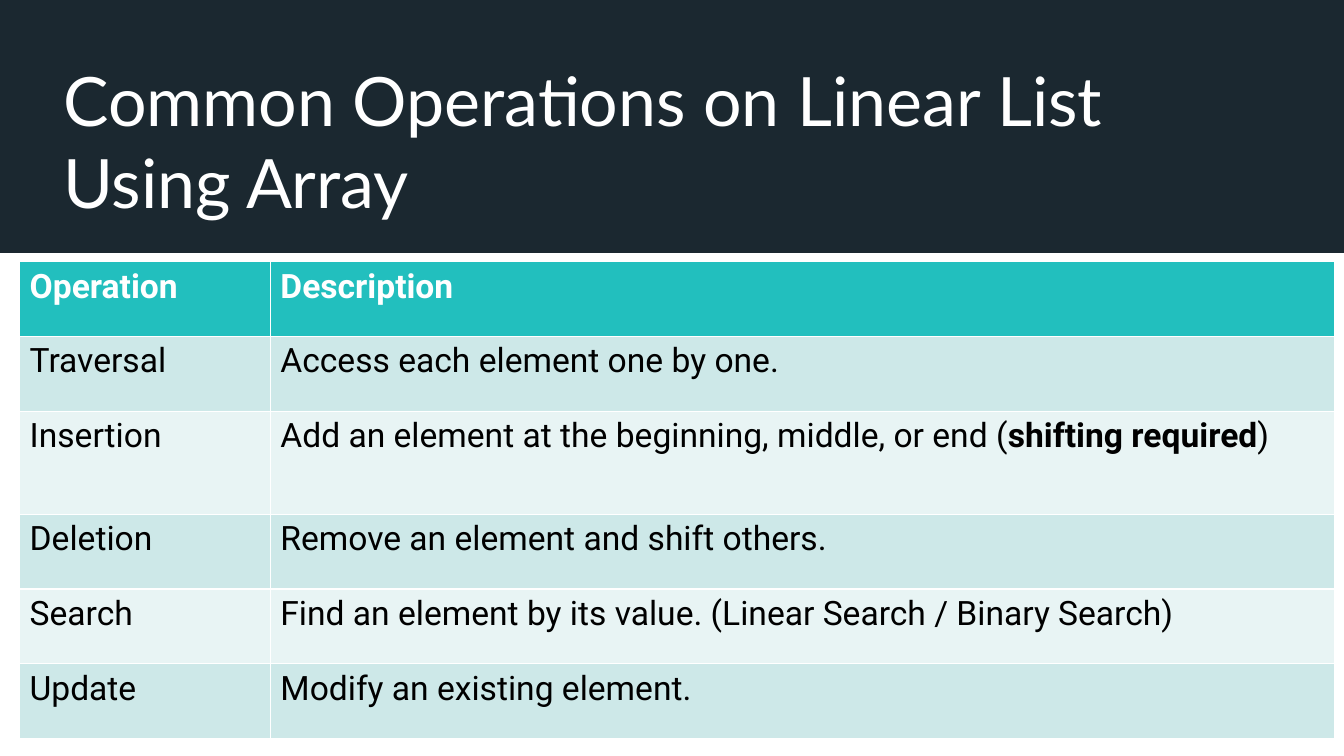
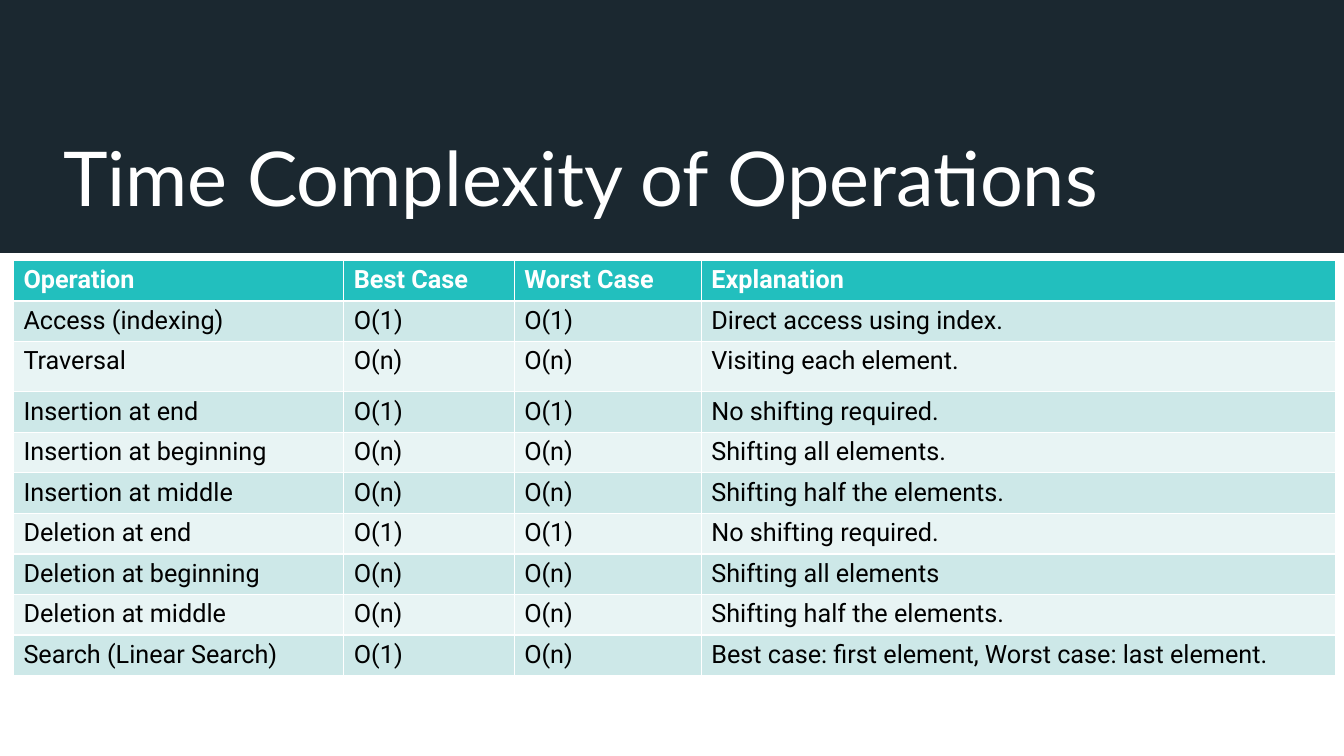
from pptx import Presentation
from pptx.dml.color import RGBColor
from pptx.enum.shapes import MSO_SHAPE
from pptx.enum.text import MSO_ANCHOR, MSO_AUTO_SIZE, PP_ALIGN
from pptx.util import Pt

COLORS = {
    "band": "1B2830",
    "header": "22BFBE",
    "odd": "CDE8E8",
    "even": "E8F4F4",
    "light": "FFFFFF",
    "dark": "000000",
}
TITLE_FONT, TABLE_FONT = "Lato", "Roboto"
SLIDE_WIDTH, SLIDE_HEIGHT, BAND_HEIGHT = 960, 540, 180.6

SLIDES = [
    {
        "title": "Common Operations on Linear List Using Array",
        "title_size": 48.6,
        "origin": (14, 187),
        "columns": [179.1, 760.4],
        "row_height": 53.4,
        "tall_row": (2, 73.6),
        "text_size": 24,
        "rows": [
            ("Operation", "Description"),
            ("Traversal", "Access each element one by one."),
            ("Insertion", ("Add an element at the beginning, middle, or end (", "shifting required", ")")),
            ("Deletion", "Remove an element and shift others."),
            ("Search", "Find an element by its value. (Linear Search / Binary Search)"),
            ("Update", "Modify an existing element."),
        ],
    },
    {
        "title": "Time Complexity of Operations",
        "title_size": 54,
        "origin": (9.6, 186),
        "columns": [236, 121.7, 133.7, 452.7],
        "row_height": 28.95,
        "tall_row": (2, 36),
        "text_size": 18,
        "rows": [
            ("Operation", "Best Case", "Worst Case", "Explanation"),
            ("Access (indexing)", "O(1)", "O(1)", "Direct access using index."),
            ("Traversal", "O(n)", "O(n)", "Visiting each element."),
            ("Insertion at end", "O(1)", "O(1)", "No shifting required."),
            ("Insertion at beginning", "O(n)", "O(n)", "Shifting all elements."),
            ("Insertion at middle", "O(n)", "O(n)", "Shifting half the elements."),
            ("Deletion at end", "O(1)", "O(1)", "No shifting required."),
            ("Deletion at beginning", "O(n)", "O(n)", "Shifting all elements"),
            ("Deletion at middle", "O(n)", "O(n)", "Shifting half the elements."),
            ("Search (Linear Search)", "O(1)", "O(n)", "Best case: first element, Worst case: last element."),
        ],
    },
]


def color(name):
    return RGBColor.from_string(COLORS[name])


def style_font(font, name, size, tone, bold=False):
    font.name, font.size, font.bold = name, Pt(size), bold
    font.color.rgb = color(tone)


def style_layout(layout):
    title = layout.placeholders[0]
    title.left, title.top, title.width, title.height = Pt(38), Pt(28.8), Pt(856), Pt(133.2)
    title.text_frame.vertical_anchor = MSO_ANCHOR.BOTTOM
    title.text_frame.auto_size = MSO_AUTO_SIZE.NONE


def add_band(page):
    band = page.shapes.add_shape(MSO_SHAPE.RECTANGLE, 0, 0, Pt(SLIDE_WIDTH), Pt(BAND_HEIGHT))
    band.shadow.inherit = False
    band.fill.solid()
    band.fill.fore_color.rgb = color("band")
    band.line.fill.background()
    page.shapes.title.element.addprevious(band.element)


def add_title(page, text, size):
    para = page.shapes.title.text_frame.paragraphs[0]
    para.text = text
    para.alignment = PP_ALIGN.LEFT
    style_font(para.runs[0].font, TITLE_FONT, size, "light")


def fill_cell(cell, content, row_index, size):
    header = row_index == 0
    cell.fill.solid()
    cell.fill.fore_color.rgb = color("header" if header else "odd" if row_index % 2 else "even")
    parts = (content,) if isinstance(content, str) else content
    para = cell.text_frame.paragraphs[0]
    for index, part in enumerate(parts):
        span = para.add_run()
        span.text = part
        style_font(span.font, TABLE_FONT, size, "light" if header else "dark", header or index % 2 == 1)


def add_grid(page, content):
    rows, columns = content["rows"], content["columns"]
    heights = [content["row_height"]] * len(rows)
    tall_index, tall_height = content["tall_row"]
    heights[tall_index] = tall_height
    left, top = content["origin"]
    table = page.shapes.add_table(
        len(rows), len(columns), Pt(left), Pt(top), Pt(sum(columns)), Pt(sum(heights))
    ).table
    for column, width in zip(table.columns, columns):
        column.width = Pt(width)
    for row_index, (row, height) in enumerate(zip(table.rows, heights)):
        row.height = Pt(height)
        for cell, text in zip(row.cells, rows[row_index]):
            fill_cell(cell, text, row_index, content["text_size"])


def main():
    deck = Presentation()
    deck.slide_width, deck.slide_height = Pt(SLIDE_WIDTH), Pt(SLIDE_HEIGHT)
    layout = deck.slide_layouts[5]
    style_layout(layout)
    for content in SLIDES:
        page = deck.slides.add_slide(layout)
        add_band(page)
        add_title(page, content["title"], content["title_size"])
        add_grid(page, content)
    deck.save("out.pptx")


if __name__ == "__main__":
    main()
